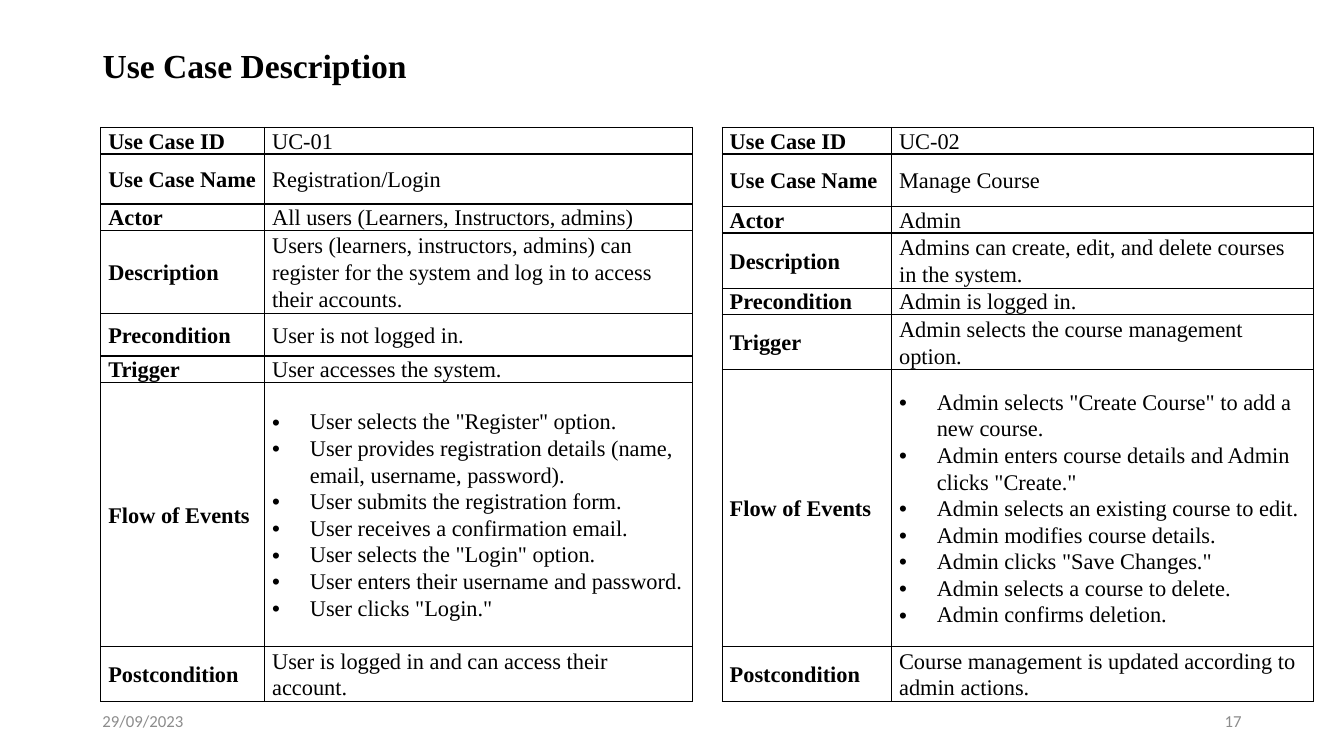
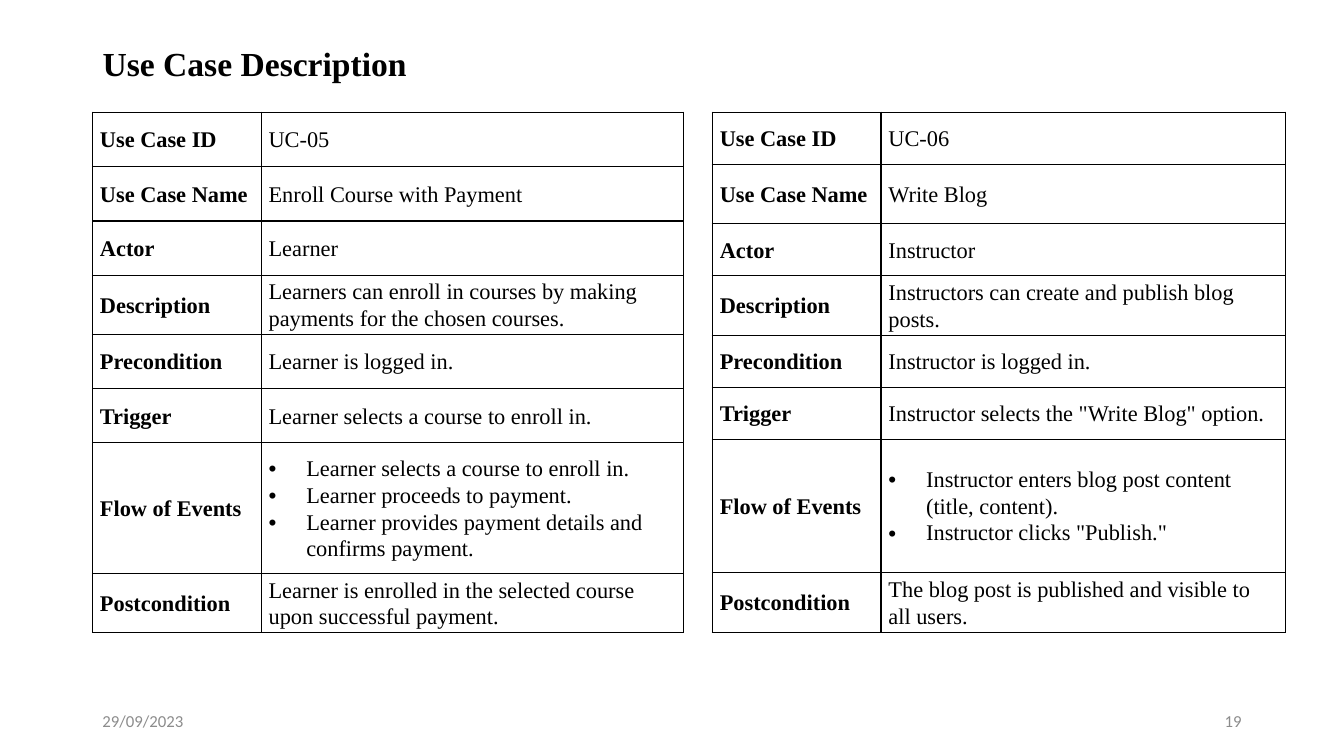
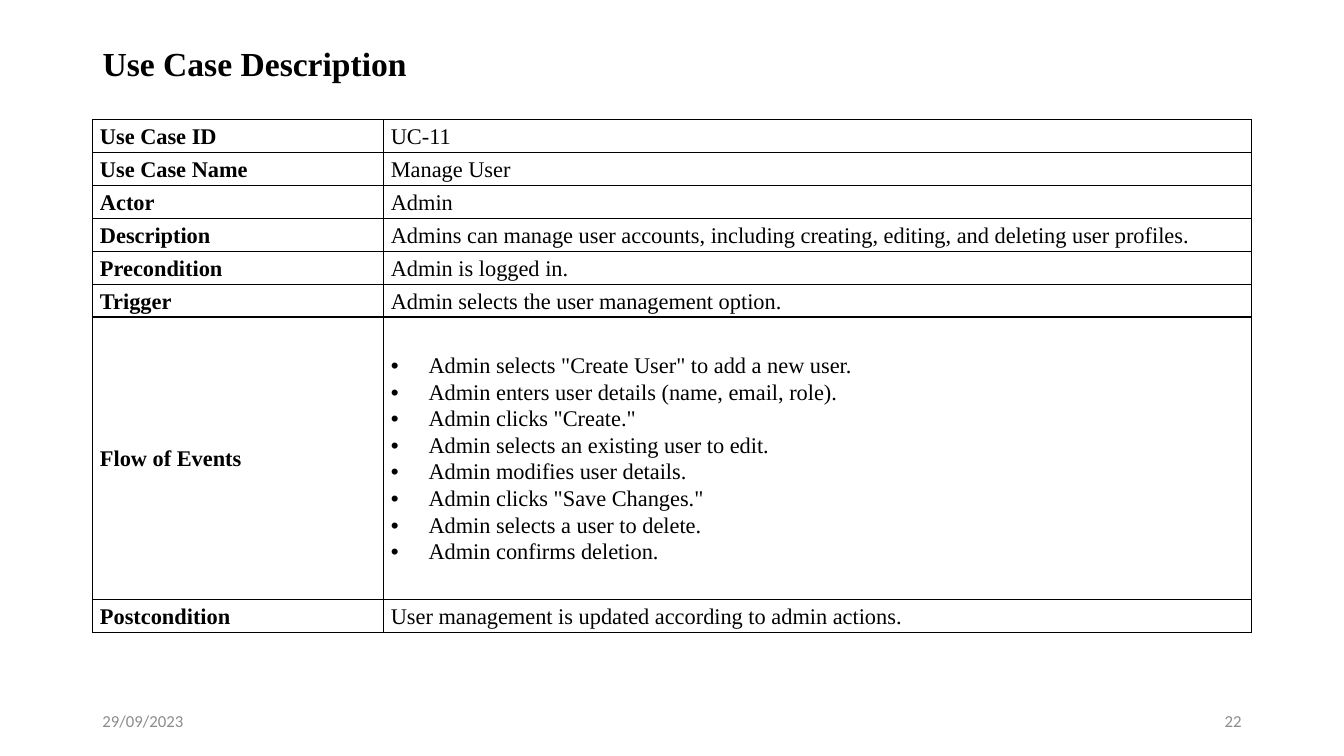
import dataclasses

import pptx
import pptx.dml.color
import pptx.enum.text
import pptx.oxml
import pptx.oxml.ns
import pptx.util
from pptx.util import Cm, Pt

ALIGN = pptx.enum.text.PP_ALIGN
MIDDLE = pptx.enum.text.MSO_ANCHOR.MIDDLE


@dataclasses.dataclass(frozen=True)
class Theme:
    ink: str = "000000"
    muted: str = "8C8C8C"
    serif: str = "Times New Roman"
    sans: str = "Calibri"
    title_size: int = 24
    table_size: int = 16
    footer_size: int = 12
    border: int = 1


THEME = Theme()
TITLE = "Use Case Description"
DATE = "29/09/2023"
FIELDS = ["Use Case ID", "Use Case Name", "Actor", "Description",
          "Precondition", "Trigger", "Flow of Events", "Postcondition"]

# Lengths are centimetres; "row" is the usual height, "rows" the exceptions.
# The full slide has exact line spacing, so that its rows stay low.
SLIDES = [
    {"number": 17, "title_top": 1, "line_spacing": Pt(19), "tables": [
        {"at": (2.54, 3.21), "columns": (4.13, 10.78), "row": 0.66,
         "rows": {"Use Case Name": 1.26, "Description": 2.09, "Precondition": 1.07,
                  "Flow of Events": 6.65, "Postcondition": 1.38},
         "values": [
             "UC-01", "Registration/Login",
             "All users (Learners, Instructors, admins)",
             "Users (learners, instructors, admins) can register for the system "
             "and log in to access their accounts.",
             "User is not logged in.", "User accesses the system.",
             ['User selects the "Register" option.',
              "User provides registration details (name, email, username, password).",
              "User submits the registration form.",
              "User receives a confirmation email.",
              'User selects the "Login" option.',
              "User enters their username and password.",
              'User clicks "Login."'],
             "User is logged in and can access their account."]},
        {"at": (18.2, 3.21), "columns": (4.27, 10.64), "row": 0.67,
         "rows": {"Use Case Name": 1.32, "Description": 1.39, "Trigger": 1.39,
                  "Flow of Events": 6.97, "Postcondition": 1.39},
         "values": [
             "UC-02", "Manage Course", "Admin",
             "Admins can create, edit, and delete courses in the system.",
             "Admin is logged in.", "Admin selects the course management option.",
             ['Admin selects "Create Course" to add a new course.',
              'Admin enters course details and Admin clicks "Create."',
              "Admin selects an existing course to edit.",
              "Admin modifies course details.",
              'Admin clicks "Save Changes."',
              "Admin selects a course to delete.",
              "Admin confirms deletion."],
             "Course management is updated according to admin actions."]},
    ]},
    {"number": 19, "title_top": 0.96, "line_spacing": 1.07, "tables": [
        {"at": (2.33, 2.83), "columns": (4.25, 10.64), "row": 1.37,
         "rows": {"Description": 1.48, "Flow of Events": 3.3, "Postcondition": 1.48},
         "values": [
             "UC-05", "Enroll Course with Payment", "Learner",
             "Learners can enroll in courses by making payments for the chosen courses.",
             "Learner is logged in.", "Learner selects a course to enroll in.",
             ["Learner selects a course to enroll in.",
              "Learner proceeds to payment.",
              "Learner provides payment details and confirms payment."],
             "Learner is enrolled in the selected course upon successful payment."]},
        {"at": (17.95, 2.83), "columns": (4.25, 10.19), "row": 1.31,
         "rows": {"Use Case Name": 1.5, "Description": 1.5,
                  "Flow of Events": 3.36, "Postcondition": 1.5},
         "values": [
             "UC-06", "Write Blog", "Instructor",
             "Instructors can create and publish blog posts.",
             "Instructor is logged in.", 'Instructor selects the "Write Blog" option.',
             ["Instructor enters blog post content (title, content).",
              'Instructor clicks "Publish."'],
             "The blog post is published and visible to all users."]},
    ]},
    {"number": 22, "title_top": 0.96, "line_spacing": 1.07, "tables": [
        {"at": (2.33, 3.01), "columns": (7.33, 21.87), "row": 0.83,
         "rows": {"Flow of Events": 7.11},
         "values": [
             "UC-11", "Manage User", "Admin",
             "Admins can manage user accounts, including creating, editing, "
             "and deleting user profiles.",
             "Admin is logged in.", "Admin selects the user management option.",
             ['Admin selects "Create User" to add a new user.',
              "Admin enters user details (name, email, role).",
              'Admin clicks "Create."',
              "Admin selects an existing user to edit.",
              "Admin modifies user details.",
              'Admin clicks "Save Changes."',
              "Admin selects a user to delete.",
              "Admin confirms deletion."],
             "User management is updated according to admin actions."]},
    ]},
]

LEFT, WIDTH = 2.33, 29.21
FOOTER = {"top": 17.65, "width": 7.62, "height": 1.02}
BULLET_INDENT = 0.95


def assign(target, values):
    for name, value in values.items():
        setattr(target, name, value)


def write(para, text, font, size, color, bold=False, **layout):
    assign(para, layout)
    span = para.add_run()
    span.text = text
    assign(span.font, {"name": font, "size": Pt(size), "bold": bold})
    span.font.color.rgb = pptx.dml.color.RGBColor.from_string(color)


def xml(text):
    return pptx.oxml.parse_xml(text.replace(" ", f" {pptx.oxml.ns.nsdecls('a')} ", 1))


def add_bullet(para):
    properties = para._p.get_or_add_pPr()
    indent = Cm(BULLET_INDENT)
    properties.set("marL", str(indent))
    properties.set("indent", str(-indent))
    properties.append(xml('<a:buFont typeface="Arial"/>'))
    properties.append(xml('<a:buChar char="•"/>'))


def add_borders(cell):
    properties = cell._tc.get_or_add_tcPr()
    for side in "LRTB":
        properties.append(xml(
            f'<a:ln{side} w="{Pt(THEME.border)}"><a:solidFill>'
            f'<a:srgbClr val="{THEME.ink}"/></a:solidFill></a:ln{side}>'))


def fill_cell(cell, content, bold, line_spacing):
    """Write one text, or a list of texts as bullets."""
    assign(cell, {"vertical_anchor": MIDDLE, "margin_left": Cm(0.19),
                  "margin_right": Cm(0.19), "margin_top": 0, "margin_bottom": 0})
    add_borders(cell)
    cell.fill.background()
    bulleted = isinstance(content, list)
    lines = content if bulleted else [content]
    frame = cell.text_frame
    for index, line in enumerate(lines):
        para = frame.add_paragraph() if index else frame.paragraphs[0]
        last = index == len(lines) - 1
        write(para, line, THEME.serif, THEME.table_size, THEME.ink, bold,
              line_spacing=line_spacing, space_after=Pt(8 if last else 0))
        if bulleted:
            add_bullet(para)


def add_use_case(page, case, line_spacing):
    heights = [case["rows"].get(field, case["row"]) for field in FIELDS]
    left, top = case["at"]
    table = page.shapes.add_table(
        len(FIELDS), 2, Cm(left), Cm(top),
        Cm(sum(case["columns"])), Cm(sum(heights))).table
    assign(table, {"first_row": False, "horz_banding": False})
    for column, width in zip(table.columns, case["columns"]):
        column.width = Cm(width)
    for row, height, field, value in zip(table.rows, heights, FIELDS, case["values"]):
        row.height = Cm(height)
        fill_cell(row.cells[0], field, True, line_spacing)
        fill_cell(row.cells[1], value, False, line_spacing)


def add_title(page, top):
    title = page.shapes.title
    assign(title, {"left": Cm(LEFT), "top": Cm(top),
                   "width": Cm(WIDTH), "height": Cm(1.4)})
    assign(title.text_frame, {"vertical_anchor": MIDDLE, "word_wrap": True,
                              "auto_size": pptx.enum.text.MSO_AUTO_SIZE.NONE})
    write(title.text_frame.paragraphs[0], TITLE, THEME.serif, THEME.title_size,
          THEME.ink, True, alignment=ALIGN.LEFT, line_spacing=0.9)


def add_footer(page, number):
    right = LEFT + WIDTH - FOOTER["width"]
    for text, left, align in [(DATE, LEFT, ALIGN.LEFT), (str(number), right, ALIGN.RIGHT)]:
        box = page.shapes.add_textbox(Cm(left), *(Cm(size) for size in FOOTER.values()))
        assign(box.text_frame, {"vertical_anchor": MIDDLE, "word_wrap": True})
        write(box.text_frame.paragraphs[0], text, THEME.sans, THEME.footer_size,
              THEME.muted, alignment=align)


def main():
    deck = pptx.Presentation()
    assign(deck, {"slide_width": Cm(33.87), "slide_height": Cm(19.05)})
    title_only = deck.slide_layouts.get_by_name("Title Only")
    for content in SLIDES:
        page = deck.slides.add_slide(title_only)
        add_title(page, content["title_top"])
        add_footer(page, content["number"])
        for case in content["tables"]:
            add_use_case(page, case, content["line_spacing"])
    deck.save("out.pptx")


if __name__ == "__main__":
    main()
